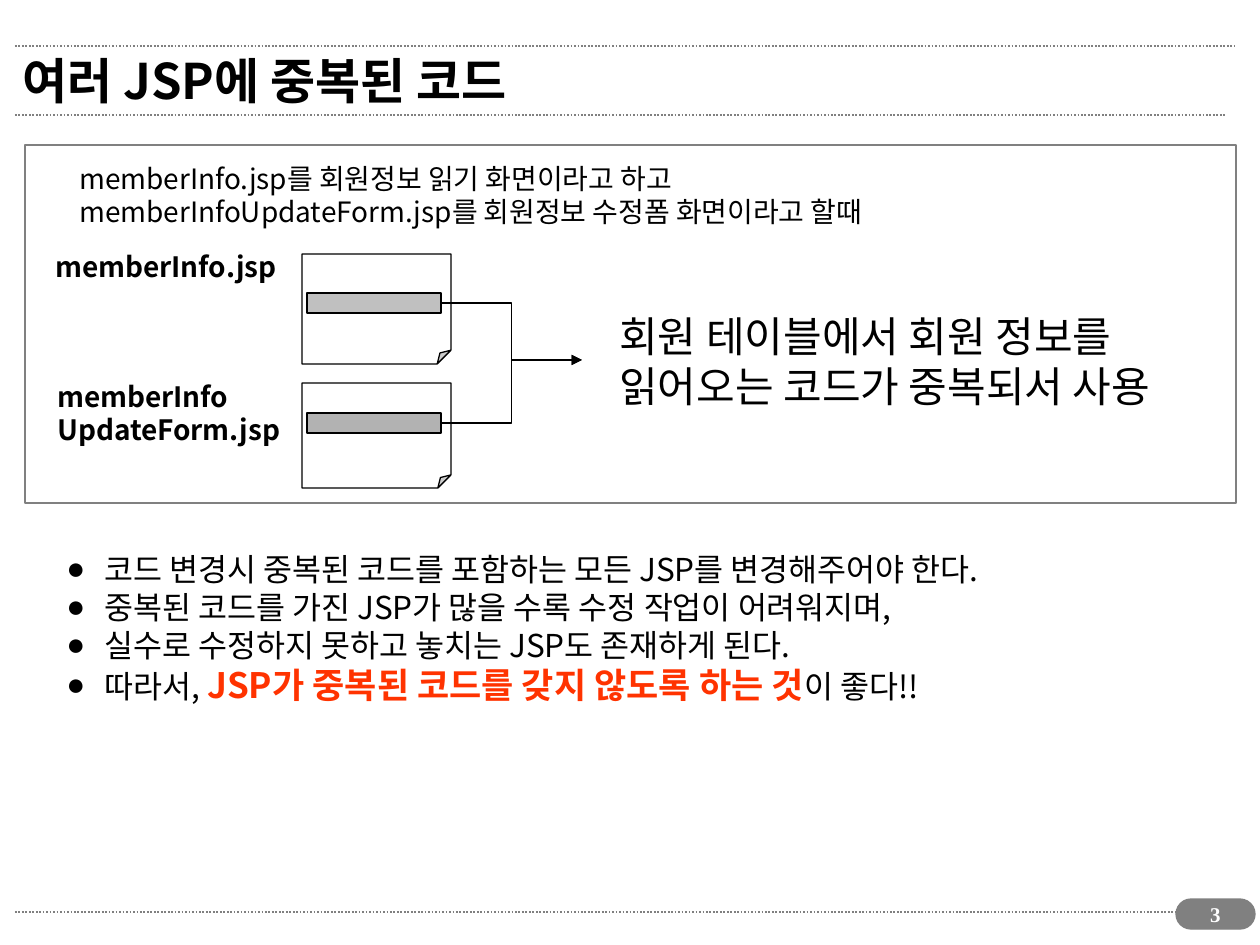
from typing import NamedTuple, Optional

from lxml.etree import SubElement
from pptx import Presentation
from pptx.dml.color import RGBColor
from pptx.enum.dml import MSO_LINE as Dash
from pptx.enum.shapes import MSO_CONNECTOR as Link, MSO_SHAPE as Form
from pptx.enum.text import MSO_ANCHOR as Anchor, PP_ALIGN as Align
from pptx.oxml.ns import qn
from pptx.util import Pt

SCALE = 914400 / 126
BLACK = RGBColor(0x00, 0x00, 0x00)
WHITE = RGBColor(0xFF, 0xFF, 0xFF)
GRAY = RGBColor(0x80, 0x80, 0x80)
LIGHT = RGBColor(0xC0, 0xC0, 0xC0)
DARK = RGBColor(0xB2, 0xB2, 0xB2)
RED = RGBColor(0xFF, 0x33, 0x00)
SANS = "Noto Sans CJK KR"
SERIF = "Times New Roman"
INDENT = 38


class Box(NamedTuple):
    left: int
    top: int
    width: int
    height: int


class Run(NamedTuple):
    text: str
    size: Optional[int] = None
    color: Optional[RGBColor] = None
    bold: Optional[bool] = None


class Rule(NamedTuple):
    y: int
    right: int


class Page(NamedTuple):
    """A folded page with the bar of repeated code on it."""
    top: int
    height: int
    bar: int
    fill: RGBColor


RULES = [Rule(912, 1226), Rule(115, 1225), Rule(46, 1235)]
PAGES = [Page(254, 110, 293, LIGHT), Page(383, 105, 413, DARK)]
TIP = (582, 360)
POINTS = [
    ["코드 변경시 중복된 코드를 포함하는 모든 JSP를 변경해주어야 한다."],
    ["중복된 코드를 가진 JSP가 많을 수록 수정 작업이 어려워지며,"],
    ["실수로 수정하지 못하고 놓치는 JSP도 존재하게 된다."],
    ["따라서, ",
     Run("JSP가 중복된 코드를 갖지 않도록 하는 것", 20, RED, True),
     "이 좋다!!"],
]


def px(n: float) -> int:
    return round(n * SCALE)


def add_bullet(para) -> None:
    props = para._p.get_or_add_pPr()
    props.set("marL", str(px(INDENT)))
    props.set("indent", str(-px(INDENT)))
    tint = SubElement(props, qn("a:buClr"))
    SubElement(tint, qn("a:srgbClr"), val=str(BLACK))
    SubElement(props, qn("a:buFont"), typeface=SERIF)
    SubElement(props, qn("a:buChar"), char="●")


def add_text(slide, box: Box, paras: list, *, size: int, font: str = SANS,
             color: RGBColor = BLACK, bold: bool = False, wrap: bool = True,
             align=Align.LEFT, anchor=Anchor.TOP, bullet: bool = False) -> None:
    """Each paragraph is a list of strings or Runs; a Run overrides the format."""
    frame = slide.shapes.add_textbox(*map(px, box)).text_frame
    frame.word_wrap = wrap
    frame.vertical_anchor = anchor
    for i, parts in enumerate(paras):
        para = frame.add_paragraph() if i else frame.paragraphs[0]
        para.alignment = align
        runs = [Run(p) if isinstance(p, str) else p for p in parts]
        para.line_spacing = Pt(1.2 * max(r.size or size for r in runs))
        if bullet:
            add_bullet(para)
        for part in runs:
            run = para.add_run()
            run.text = part.text
            face = run.font
            face.size = Pt(part.size or size)
            face.bold = bold if part.bold is None else part.bold
            face.color.rgb = part.color or color
            face.name = font
            SubElement(run._r.get_or_add_rPr(), qn("a:ea"), typeface=font)


def add_form(slide, form: Form, box: Box, fill: Optional[RGBColor],
             line: RGBColor = BLACK, width: float = 0.75):
    shape = slide.shapes.add_shape(form, *map(px, box))
    shape.shadow.inherit = False
    if fill is None:
        shape.fill.background()
    else:
        shape.fill.solid()
        shape.fill.fore_color.rgb = fill
    shape.line.color.rgb = line
    shape.line.width = Pt(width)
    return shape


def add_link(slide, kind: Link, start: tuple, end: tuple,
             color: RGBColor, width: float):
    link = slide.shapes.add_connector(kind, *map(px, start + end))
    link.line.color.rgb = color
    link.line.width = Pt(width)
    SubElement(link._element.spPr, qn("a:effectLst"))
    return link


def add_rule(slide, rule: Rule) -> None:
    link = add_link(slide, Link.STRAIGHT, (15, rule.y), (rule.right, rule.y),
                    GRAY, 1)
    link.line.dash_style = Dash.ROUND_DOT


def set_fold(sheet, ratio: float) -> None:
    """Size the folded corner, which has no entry in shape.adjustments."""
    shape = sheet._element.spPr.find(qn("a:prstGeom"))
    guides = shape.find(qn("a:avLst"))
    if guides is None:
        guides = SubElement(shape, qn("a:avLst"))
    SubElement(guides, qn("a:gd"), name="adj", fmla=f"val {round(ratio * 100000)}")


def add_page(slide, page: Page) -> None:
    sheet = add_form(slide, Form.FOLDED_CORNER,
                     Box(302, page.top, 149, page.height), WHITE)
    set_fold(sheet, 0.125)
    bar = add_form(slide, Form.RECTANGLE, Box(307, page.bar, 134, 20), page.fill)
    link = add_link(slide, Link.ELBOW, (441, page.bar + 10), TIP, BLACK, 0.75)
    link.begin_connect(bar, 3)
    SubElement(link.line._get_or_add_ln(), qn("a:tailEnd"), type="triangle")


def main() -> None:
    deck = Presentation()
    deck.slide_width, deck.slide_height = px(1260), px(945)
    slide = deck.slides.add_slide(deck.slide_layouts[6])

    for rule in RULES:
        add_rule(slide, rule)
    pill = add_form(slide, Form.ROUNDED_RECTANGLE, Box(1176, 899, 79, 30),
                    GRAY, GRAY)
    pill.adjustments[0] = 0.5
    add_text(slide, Box(10, 35, 1147, 90), [["여러 JSP에 중복된 코드"]],
             size=28, bold=True, anchor=Anchor.MIDDLE)

    add_text(slide, Box(607, 304, 562, 113),
             [["회원 테이블에서 회원 정보를"], ["읽어오는 코드가 중복되서 사용"]],
             size=24, wrap=False)
    for page in PAGES:
        add_page(slide, page)
    add_text(slide, Box(43, 243, 248, 47), [["memberInfo.jsp"]],
             size=16, bold=True)
    add_text(slide, Box(45, 373, 248, 81), [["memberInfo"], ["UpdateForm.jsp"]],
             size=16, bold=True)
    add_text(slide, Box(67, 155, 824, 81),
             [["memberInfo.jsp를 회원정보 읽기 화면이라고 하고"],
              ["memberInfoUpdateForm.jsp를 회원정보 수정폼 화면이라고 할때"]],
             size=16)
    add_form(slide, Form.RECTANGLE, Box(25, 145, 1211, 358), None, GRAY, 1)

    add_text(slide, Box(54, 544, 1022, 169), POINTS, size=18, bullet=True)
    add_text(slide, Box(1181, 895, 69, 43), [["3"]], size=12, font=SERIF,
             color=WHITE, bold=True, align=Align.CENTER)
    deck.save("out.pptx")


if __name__ == "__main__":
    main()
